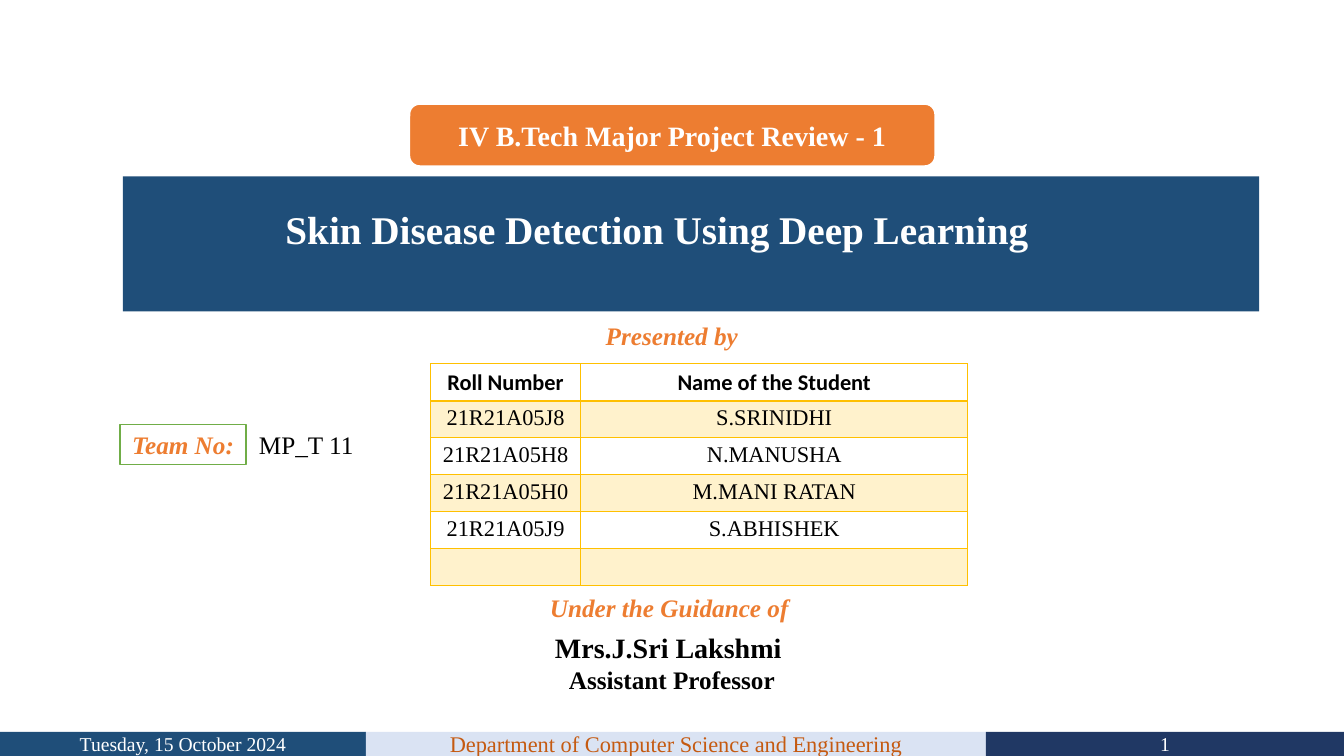
from lxml.etree import SubElement
from pptx import Presentation
from pptx.dml.color import RGBColor
from pptx.enum.shapes import MSO_SHAPE as SHAPE
from pptx.enum.text import MSO_ANCHOR as ANCHOR, MSO_AUTO_SIZE as FIT, PP_ALIGN as ALIGN
from pptx.oxml.ns import qn
from pptx.util import Inches, Pt

COLORS = {
    "navy": "1F4E79", "ink blue": "203864", "pale blue": "DAE3F3",
    "orange": "ED7D31", "rust": "C55A11", "green": "70AD47",
    "gold": "FFC000", "cream": "FFF2CC", "white": "FFFFFF", "black": "000000",
}
RGB = {name: RGBColor.from_string(code) for name, code in COLORS.items()}
SERIF = "Times New Roman"

prs = Presentation()
prs.slide_width, prs.slide_height = Inches(13.333), Inches(7.5)
s = prs.slides.add_slide(prs.slide_layouts[5])


def area(x, y, w, h):
    """Turn percentages of the slide into left, top, width and height."""
    W, H = prs.slide_width, prs.slide_height
    return [int(share * side / 100) for share, side in zip((x, y, w, h), (W, H, W, H))]


def write(tf, lines, color, align=ALIGN.CENTER, name=SERIF, bold=False, italic=False):
    """Fill a text frame with one paragraph per (text, size) pair."""
    for i, (text, size) in enumerate(lines):
        p = tf.add_paragraph() if i else tf.paragraphs[0]
        p.alignment = align
        r = p.add_run()
        r.text = text
        r.font.color.rgb = RGB[color]
        for key, value in dict(size=Pt(size), name=name, bold=bold, italic=italic).items():
            setattr(r.font, key, value)


# Filled shapes: preset, area, fill, line (colour, width), text, size, format
FOOT_Y, FOOT_H = 96.8, 3.2
shapes = [
    (SHAPE.RECTANGLE, (9.15, 23.33, 84.53, 17.87), "navy", None, "", 0, {}),
    (SHAPE.RECTANGLE, (0, FOOT_Y, 27.23, FOOT_H), "navy", None,
     "Tuesday, 15 October 2024", 14, dict(color="white")),
    (SHAPE.RECTANGLE, (27.23, FOOT_Y, 46.13, FOOT_H), "pale blue", None,
     "Department of Computer Science and Engineering", 16, dict(color="rust")),
    (SHAPE.RECTANGLE, (73.36, FOOT_Y, 26.64, FOOT_H), "ink blue", None,
     "1", 14, dict(color="white")),
    (SHAPE.ROUNDED_RECTANGLE, (30.45, 13.73, 39.15, 8.27), "orange", ("white", 1.5),
     "IV B.Tech Major Project Review - 1", 20, dict(color="white", bold=True)),
    (SHAPE.RECTANGLE, (8.93, 56.13, 9.38, 5.33), "white", ("green", 1),
     "Team No:", 18, dict(color="orange", bold=True, italic=True)),
]
for preset, place, fill, line, text, size, fmt in shapes:
    sp = s.shapes.add_shape(preset, *area(*place))
    sp.shadow.inherit = False
    sp.fill.solid()
    sp.fill.fore_color.rgb = RGB[fill]
    if line:
        sp.line.color.rgb, sp.line.width = RGB[line[0]], Pt(line[1])
    else:
        sp.line.fill.background()
    if text:
        sp.text_frame.word_wrap = True
        sp.text_frame.vertical_anchor = ANCHOR.MIDDLE
        write(sp.text_frame, [(text, size)], **fmt)

# Title, brought in front of its banner
title = s.shapes.title
title.left, title.top, title.width, title.height = area(6.98, 26.53, 83.78, 7.6)
title.text_frame.vertical_anchor = ANCHOR.TOP
title.text_frame.auto_size = FIT.SHAPE_TO_FIT_TEXT
write(title.text_frame, [("Skin Disease Detection Using Deep Learning", 28)], "white", bold=True)
title.element.getparent().append(title.element)

# Plain text
heading = dict(color="orange", bold=True, italic=True)
labels = [
    ((36.45, 41.73, 27.08, 5.33), [("Presented by", 18)], heading),
    ((37.73, 77.73, 24.6, 5.33), [("Under the Guidance of ", 18)], heading),
    ((18.53, 56.13, 12.6, 5.33), [("MP_T 11", 18)], dict(color="black", align=ALIGN.LEFT)),
    ((37.5, 82.8, 24.98, 9.87), [("Mrs.J.Sri Lakshmi ", 20), ("Assistant Professor", 18)],
     dict(color="black", bold=True)),
]
for place, lines, fmt in labels:
    tf = s.shapes.add_textbox(*area(*place)).text_frame
    tf.word_wrap = True
    tf.auto_size = FIT.SHAPE_TO_FIT_TEXT
    write(tf, lines, **fmt)

# Student table
students = [
    ("Roll Number", "Name of the Student"),
    ("21R21A05J8", "S.SRINIDHI"),
    ("21R21A05H8", "N.MANUSHA"),
    ("21R21A05H0", "M.MANI RATAN"),
    ("21R21A05J9", "S.ABHISHEK"),
    ("", ""),
]
COLS = (11.18, 28.8)
place = area(32.03, 48.13, sum(COLS), 29.33)
table = s.shapes.add_table(len(students), len(COLS), *place).table
table.first_row = table.horz_banding = False
for col, share in zip(table.columns, COLS):
    col.width = int(prs.slide_width * share / 100)

for i, row in enumerate(students):
    for j, text in enumerate(row):
        cell = table.cell(i, j)
        tcPr = cell._tc.get_or_add_tcPr()
        for side in "LRTB":
            under_header = (i, side) in ((0, "B"), (1, "T"))
            ln = SubElement(tcPr, qn(f"a:ln{side}"), w=str(Pt(2 if under_header else 1)))
            SubElement(SubElement(ln, qn("a:solidFill")), qn("a:srgbClr"), val=COLORS["gold"])
        cell.fill.solid()
        cell.fill.fore_color.rgb = RGB["cream" if i % 2 else "white"]
        if text:
            write(cell.text_frame, [(text, 16)], "black",
                  name=SERIF if i else "Calibri", bold=i == 0)
        else:
            cell.text_frame.paragraphs[0].font.size = Pt(16)

prs.save("out.pptx")
